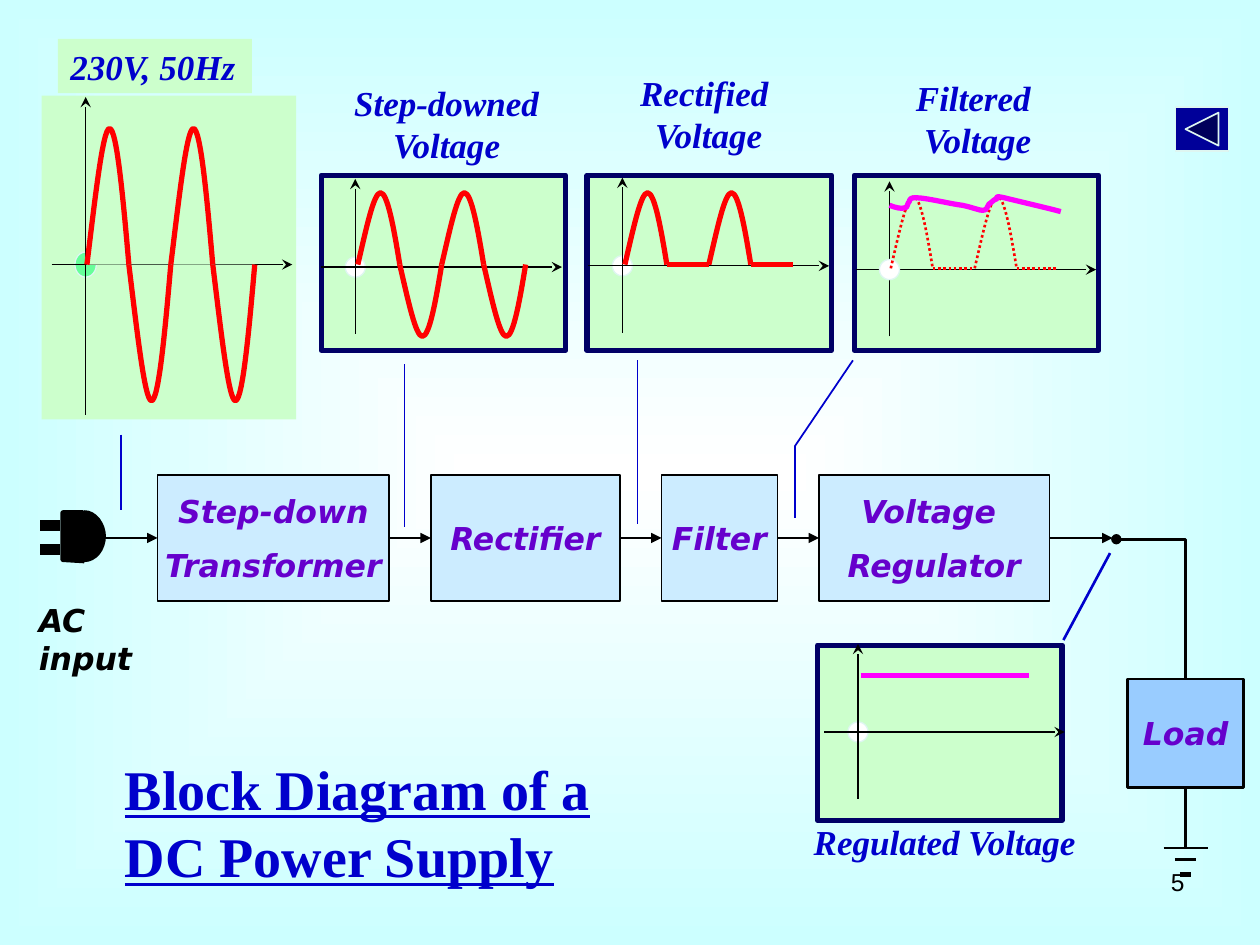
"""Build the slide with the block diagram of a DC power supply."""
from lxml import etree
from pptx import Presentation
from pptx import util as u
from pptx.dml.color import RGBColor
from pptx.enum import dml, shapes, text
from pptx.oxml import ns, parse_xml

SERIF, SANS = "Times New Roman", "DejaVu Sans"
BLUE, NAVY, PURPLE, BLACK = "0000CC", "000066", "6600CC", "000000"
RED, MAGENTA, MINT, PALE = "FF0000", "FF00FF", "CCFFCC", "DEF6F1"
TITLE = ["Block Diagram of a", "DC Power Supply"]
STAGES = [
    (["Step-down", "Transformer"], 1.25, 1.84),
    (["Rectifier"], 3.42, 1.5),
    (["Filter"], 5.25, 0.92),
    (["Voltage ", "Regulator"], 6.5, 1.83),
]
STAGE_TOP, STAGE_HEIGHT = 3.77, 1
WIRE_Y = STAGE_TOP + STAGE_HEIGHT / 2
SCOPES = [
    dict(frame=(0.33, 0.76, 2.02, 2.57), border=None, origin=(0.68, 2.1), reach=(1.33, 1.19),
         dot="66FF99", dot_size=(0.17, 0.2), start=0.01, base=2.1, signs=[1, -1, 1, -1],
         peak=1.08, lobe_fill=MINT),
    dict(frame=(2.55, 1.39, 1.94, 1.39), origin=(2.82, 2.12), signs=[1, -1, 1, -1], base=2.1),
    dict(frame=(4.66, 1.39, 1.94, 1.39), origin=(4.94, 2.11), signs=[1, 0, 1, 0], base=2.1),
    dict(frame=(6.78, 1.39, 1.94, 1.39), origin=(7.06, 2.14), signs=[1, 0, 1, 0], base=2.13,
         start=0.01, trace=1.5, dash=dml.MSO_LINE.ROUND_DOT, dot_on_top=True),
    dict(frame=(6.49, 5.12, 1.94, 1.39), origin=(6.81, 5.81)),
]
CAPTIONS = [
    (["Step-downed", "Voltage"], (2.71, 0.6, 1.67, 0.77), text.PP_ALIGN.CENTER),
    (["Rectified ", "Voltage"], (4.98, 0.52, 1.29, 0.77), text.PP_ALIGN.CENTER),
    (["Filtered ", "Voltage"], (7.17, 0.56, 1.18, 0.77), text.PP_ALIGN.CENTER),
    (["Regulated Voltage"], (6.36, 6.46, 2.31, 0.43), text.PP_ALIGN.LEFT),
]
LEADERS = [
    ((0.96, 3.45), (0.96, 4.05), 1),
    ((3.21, 2.89), (3.21, 4.18), 1),
    ((5.06, 2.86), (5.06, 4.16), 1),
    ((8.44, 5.08), (8.81, 4.39), 1.5),
]
LOAD_X = 9.41
GROUND = [(0.35, 6.73, 1.5), (0.17, 6.82, 1.5), (0.09, 6.94, 3)]
PLUG_BACK = [(0.66, 4.07), (0.5, 4.07), (0.5, 4.44), (0.67, 4.45)]
PLUG_ARCS = [(4.07, 4.16, 4.26), (4.44, 4.36, 4.25)]
RIPPLE = [
    (7.06, 1.63), (7.11, 1.65), (7.16, 1.66), (7.18, 1.65), (7.21, 1.65), (7.19, 1.63),
    (7.21, 1.61), (7.23, 1.6), (7.2, 1.57), (7.27, 1.57), (7.35, 1.57), (7.55, 1.62),
    (7.64, 1.63), (7.73, 1.65), (7.77, 1.67), (7.8, 1.67), (7.84, 1.67), (7.83, 1.64),
    (7.85, 1.62), (7.87, 1.61), (7.89, 1.58), (7.91, 1.58), (7.93, 1.57), (7.88, 1.55),
    (7.97, 1.57), (8.05, 1.59), (8.35, 1.66), (8.42, 1.68),
]
LOBE = [(0, 0), (0.2, 0.5), (0.38, 1), (0.54, 1), (0.71, 1), (0.86, 0.5), (1, 0)]
LOBE_WIDTH = 0.333

prs = Presentation()
prs.slide_width, prs.slide_height = u.Inches(10), u.Inches(7.5)
slide = prs.slides.add_slide(prs.slide_layouts[5])


def color(code):
    return RGBColor.from_string(code)


def inches(values):
    return [u.Inches(value) for value in values]


def stroke(part, line, width, dash=None, head=None, tail=None):
    if not line:
        part.line.fill.background()
        return
    part.line.color.rgb = color(line)
    part.line.width = u.Pt(width)
    if dash:
        part.line.dash_style = dash
    ln = part._element.spPr.find(ns.qn("a:ln"))
    for tag, kind in (("a:headEnd", head), ("a:tailEnd", tail)):
        if kind:
            etree.SubElement(ln, ns.qn(tag)).set("type", kind)


def paint(part, fill, line, width, **style):
    part.shadow.inherit = False
    if fill:
        part.fill.solid()
        part.fill.fore_color.rgb = color(fill)
    else:
        part.fill.background()
    stroke(part, line, width, **style)


def block(kind, box, fill=None, line=None, width=1.0):
    part = slide.shapes.add_shape(kind, *inches(box))
    paint(part, fill, line, width)
    return part


def write(part, lines, size, font, ink, bold=True, italic=True, underline=None,
          align=text.PP_ALIGN.CENTER, anchor=text.MSO_ANCHOR.TOP, wrap=False, gap=0,
          fit=text.MSO_AUTO_SIZE.NONE):
    frame = part.text_frame
    frame.word_wrap, frame.vertical_anchor, frame.auto_size = wrap, anchor, fit
    for index, line in enumerate(lines):
        para = frame.add_paragraph() if index else frame.paragraphs[0]
        para.alignment = align
        if index and gap:
            para.space_before = u.Pt(gap)
        run = para.add_run()
        run.text = line
        run.font.name, run.font.size = font, u.Pt(size)
        run.font.bold, run.font.italic, run.font.underline = bold, italic, underline
        run.font.color.rgb = color(ink)


def label(box, *args, **style):
    write(slide.shapes.add_textbox(*inches(box)), *args, **style)


def wire(start, end, line=BLACK, width=1.5, source=None, target=None, **style):
    part = slide.shapes.add_connector(shapes.MSO_CONNECTOR.STRAIGHT, *inches(start + end))
    if source:
        part.begin_connect(*source)
    if target:
        part.end_connect(*target)
    stroke(part, line, width, **style)
    etree.SubElement(part._element.spPr, ns.qn("a:effectLst"))


def outline(points, line, width, fill=None, curves=0, close=False, **style):
    first, *rest = [inches(point) for point in points]
    builder = slide.shapes.build_freeform(*first)
    builder.add_line_segments(rest, close=close)
    part = builder.convert_to_shape()
    segments = list(part._element.spPr.iter(ns.qn("a:lnTo")))
    for i in range(0, curves * 3, 3):
        bend = etree.Element(ns.qn("a:cubicBezTo"))
        segments[i].addprevious(bend)
        for segment in segments[i:i + 3]:
            bend.append(segment[0])
            segment.getparent().remove(segment)
    paint(part, fill, line, width, **style)


def scope(frame, origin, border=NAVY, reach=(0.7, 0.53), dot="FFFFFF", dot_size=(0.16, 0.16),
          dot_on_top=False, start=0.02, base=0, signs=(), peak=0.57, lobe_fill=None,
          trace=3, dash=None):
    (x, y), (up, down), (dot_w, dot_h) = origin, reach, dot_size
    block(shapes.MSO_SHAPE.RECTANGLE, frame, MINT, border, 3)
    for layer in ("axes", "dot") if dot_on_top else ("dot", "axes"):
        if layer == "dot":
            block(shapes.MSO_SHAPE.OVAL, (x - dot_w / 2, y - dot_h / 2, dot_w, dot_h),
                  dot, PALE, 0.75)
        else:
            wire((x - 0.27, y), (x + 1.64, y), width=0.75, tail="stealth")
            wire((x, y + down), (x, y - up), width=0.75, tail="stealth")
    for index, sign in enumerate(signs):
        left = x + start + index * LOBE_WIDTH
        if sign:
            lobe = [(left + px * LOBE_WIDTH, base - sign * py * peak) for px, py in LOBE]
            outline(lobe, RED, trace, lobe_fill, curves=2, dash=dash)
        else:
            wire((left, base), (left + LOBE_WIDTH, base), RED, trace, dash=dash)


def backdrop():
    slide.background.fill.solid()
    slide.background.fill.fore_color.rgb = color(PALE)
    panel = block(shapes.MSO_SHAPE.RECTANGLE, (0, 0, 10, 7.5), None, "CCFFFF", 3)
    panel.fill.gradient()
    for stop, code in zip(panel.fill.gradient_stops, ("FFFFFF", "CCFFFF")):
        stop.color.rgb = color(code)
    lin = panel._element.spPr.find(".//" + ns.qn("a:lin"))
    lin.getparent().replace(lin, parse_xml(
        f'<a:path {ns.nsdecls("a")} path="shape">'
        '<a:fillToRect l="50000" t="50000" r="50000" b="50000"/></a:path>'))
    slide.shapes._spTree.insert(2, panel._element)


def main():
    rect, middle, left = shapes.MSO_SHAPE.RECTANGLE, text.MSO_ANCHOR.MIDDLE, text.PP_ALIGN.LEFT
    grow = text.MSO_AUTO_SIZE.SHAPE_TO_FIT_TEXT
    backdrop()
    title = slide.shapes.title
    title.left, title.top, title.width, title.height = inches((0.89, 5.94, 4, 1.17))
    write(title, TITLE, 32, SERIF, BLUE, italic=False, underline=True, align=left)

    label((0.21, 4.72, 1.25, 0.7), ["AC input"], 18, SANS, BLACK, align=left, wrap=True, fit=grow)
    stages = []
    for lines, x, width in STAGES:
        stage = block(rect, (x, STAGE_TOP, width, STAGE_HEIGHT), "CCECFF", BLACK)
        write(stage, lines, 18, SANS, PURPLE, anchor=middle, gap=9)
        stages.append(stage)
    for edge, bend, center in PLUG_ARCS:
        arc = [(0.67, edge), (0.75, edge), (0.82, bend), (0.82, center), (0.67, center)]
        outline(arc, BLACK, 3, BLACK, curves=1, close=True)
    outline(PLUG_BACK, BLACK, 3, BLACK)
    for prong in (4.17, 4.36):
        wire((0.32, prong), (0.48, prong), width=6)

    load = block(rect, (8.95, 5.39, 0.92, 0.86), "99CCFF", BLACK, 1.5)
    write(load, ["Load"], 18, SANS, PURPLE, anchor=middle)
    outline([(8.86, 4.28), (LOAD_X, 4.28), (LOAD_X, 5.38)], BLACK, 1.5, head="oval")
    wire((LOAD_X, 6.25), (LOAD_X, 6.72), source=(load, 2))
    for width, y, weight in GROUND:
        wire((LOAD_X - width / 2, y), (LOAD_X + width / 2, y), width=weight)

    ends = [None] + [(stage, 3) for stage in stages]
    starts = [(stage, 1) for stage in stages] + [None]
    for source, target in zip(ends, starts):
        wire((0.83, WIRE_Y), (8.83, WIRE_Y), source=source, target=target, tail="triangle")

    for setup in SCOPES:
        scope(**setup)
    outline(RIPPLE, MAGENTA, 3, curves=len(RIPPLE) // 3)
    wire((6.83, 5.36), (8.17, 5.36), MAGENTA, 3)
    for start, end, width in LEADERS:
        wire(start, end, BLUE, width)
    outline([(6.31, 4.11), (6.31, 3.54), (6.77, 2.86)], BLUE, 1)

    mains = block(rect, (0.46, 0.31, 1.54, 0.43), MINT)
    write(mains, ["230V, 50Hz"], 20, SERIF, BLUE, align=left, fit=grow)
    for lines, box, align in CAPTIONS:
        label(box, lines, 20, SERIF, BLUE, align=align, fit=grow)
    block(shapes.MSO_SHAPE.ACTION_BUTTON_BACK_OR_PREVIOUS, (9.33, 0.85, 0.42, 0.35), "000099", PALE)
    label((7.17, 6.83, 2.33, 0.52), ["5"], 14, "Arial", BLACK, bold=False, italic=False,
          align=text.PP_ALIGN.RIGHT, wrap=True)
    prs.save("out.pptx")


if __name__ == "__main__":
    main()
